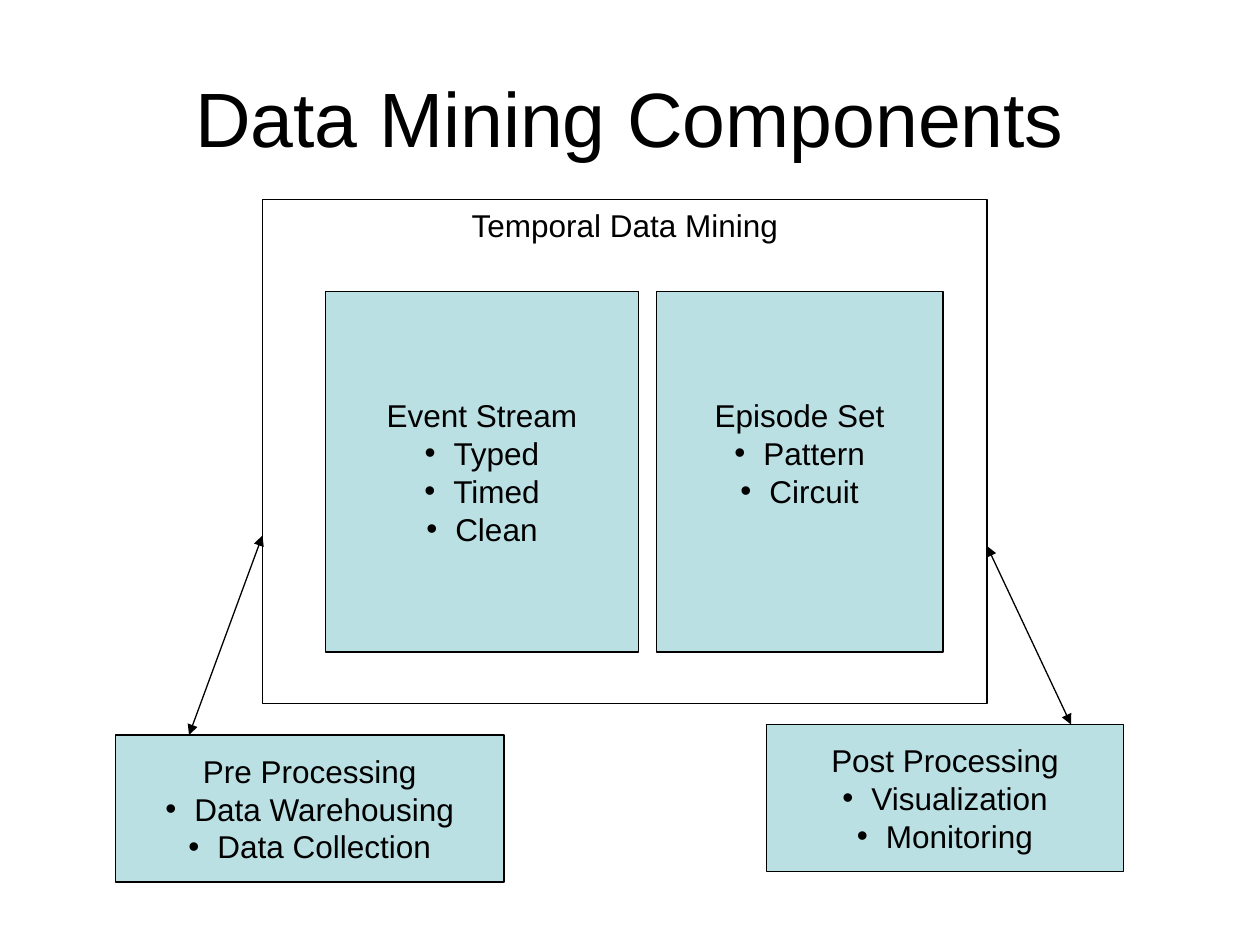
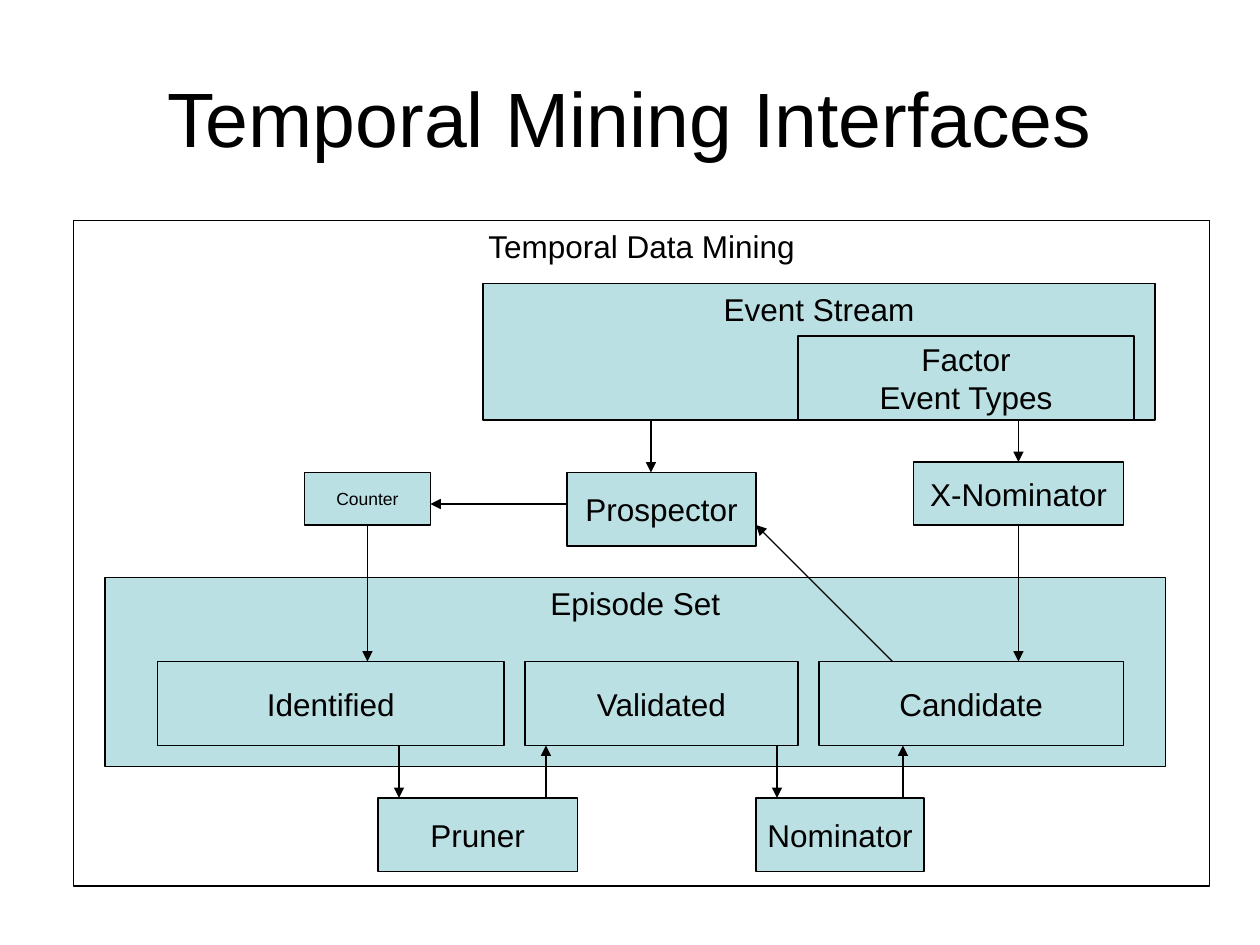
from lxml import etree
from pptx import Presentation
from pptx.dml.color import RGBColor
from pptx.enum.shapes import MSO_CONNECTOR, MSO_SHAPE
from pptx.enum.text import MSO_ANCHOR, PP_ALIGN
from pptx.oxml.ns import qn
from pptx.util import Inches, Pt

RECT, LINE = MSO_SHAPE.RECTANGLE, MSO_CONNECTOR.STRAIGHT
TOP, MID, CENTER = MSO_ANCHOR.TOP, MSO_ANCHOR.MIDDLE, PP_ALIGN.CENTER
COLS, ROWS = 120, 90
TITLE_ONLY = 5


def color(text):
    return RGBColor.from_string(text)


class Deck:
    font, ink, tint = "Arial", "000000", "BBE0E3"
    size, weight = 18, 0.75

    def __init__(self):
        self.prs = Presentation()
        self.prs.slide_width, self.prs.slide_height = Inches(10), Inches(7.5)

    def place(self, *spots):
        """Turn columns and rows, given in turn, into lengths."""
        steps = self.prs.slide_width / COLS, self.prs.slide_height / ROWS
        return [round(n * steps[i % 2]) for i, n in enumerate(spots)]

    def label(self, par, text, size):
        par.alignment = CENTER
        run = par.add_run()
        run.text = text
        run.font.name, run.font.size = self.font, Pt(size)
        run.font.color.rgb = color(self.ink)

    def bullet(self, par):
        props = par._p.get_or_add_pPr()
        hang = Inches(0.23)
        props.set("marL", str(hang))
        props.set("indent", str(-hang))
        etree.SubElement(props, qn("a:buFont"), typeface=self.font)
        etree.SubElement(props, qn("a:buChar"), char="•")

    def stroke(self, line):
        line.color.rgb = color(self.ink)
        line.width = Pt(self.weight)

    def page(self, title):
        self.slide = self.prs.slides.add_slide(self.prs.slide_layouts[TITLE_ONLY])
        head = self.slide.shapes.title
        head.left, head.top, head.width, head.height = self.place(6, 3.6, 108, 15)
        head.text_frame.vertical_anchor = MID
        self.label(head.text_frame.paragraphs[0], title, 44)

    def box(self, area, heads, items=(), fill=tint, anchor=MID, size=size, foot=0.05):
        shape = self.slide.shapes.add_shape(RECT, *self.place(*area))
        shape.shadow.inherit = False
        self.stroke(shape.line)
        if fill:
            shape.fill.solid()
            shape.fill.fore_color.rgb = color(fill)
        else:
            shape.fill.background()
        frame = shape.text_frame
        frame.word_wrap, frame.vertical_anchor = False, anchor
        frame.margin_bottom = Inches(foot)
        for i, text in enumerate([*heads, *items]):
            par = frame.add_paragraph() if i else frame.paragraphs[0]
            self.label(par, text, size)
            if i >= len(heads):
                self.bullet(par)

    def arrow(self, start, end, both=False):
        link = self.slide.shapes.add_connector(LINE, *self.place(*start, *end))
        self.stroke(link.line)
        props = link._element.spPr
        ends = ["a:headEnd", "a:tailEnd"] if both else ["a:tailEnd"]
        for tag in ends:
            etree.SubElement(props.find(qn("a:ln")), qn(tag), type="triangle")
        etree.SubElement(props, qn("a:effectLst"))


def parts(deck):
    deck.page("Data Mining Components")

    # Mining frame with its two stores
    deck.box((31, 27.8, 29.8, 34.3), ["Event Stream"], ["Typed", "Timed", "Clean"])
    deck.box((62.5, 27.8, 27.3, 34.3), ["Episode Set"], ["Pattern", "Circuit"], foot=0.35)
    deck.box((25, 19, 69, 48), ["Temporal Data Mining"], fill=None, anchor=TOP)

    # Steps before and after
    deck.box((11, 70, 37, 14), ["Pre Processing"], ["Data Warehousing", "Data Collection"])
    deck.box((73, 69, 34, 14), ["Post Processing"], ["Visualization", "Monitoring"])
    deck.arrow((18, 70), (25, 51), both=True)
    deck.arrow((94, 52), (102, 69), both=True)


def flow(deck):
    deck.page("Temporal Mining Interfaces")

    # Frames with a heading at the top
    deck.box((46, 27, 64, 13), ["Event Stream"], anchor=TOP)
    deck.box((10, 55, 101, 18), ["Episode Set"], anchor=TOP)
    deck.box((7, 21, 108.2, 63.4), ["Temporal Data Mining"], fill=None, anchor=TOP)

    # Workers above the episode set
    deck.box((76, 32, 32, 8), ["Factor", "Event Types"])
    deck.box((54, 45, 18, 7), ["Prospector"])
    deck.box((87, 44, 20, 6), ["X-Nominator"])
    deck.box((29, 45, 12, 5), ["Counter"], size=10)

    # Episode states, then the workers below them
    for left, wide, name in ((15, 33, "Identified"), (50, 26, "Validated"),
                             (78, 29, "Candidate")):
        deck.box((left, 63, wide, 8), [name])
    for left, wide, name in ((36, 19, "Pruner"), (72, 16, "Nominator")):
        deck.box((left, 76, wide, 7), [name])

    # Straight drops and rises: column, start row, end row
    for col, start, end in ((62, 40, 45), (97, 40, 44), (97, 50, 63), (35, 50, 63),
                            (38, 71, 76), (52, 76, 71), (74, 71, 76), (86, 76, 71)):
        deck.arrow((col, start), (col, end))
    deck.arrow((85, 63), (72, 50))
    deck.arrow((54, 48), (41, 48))


def main():
    deck = Deck()
    parts(deck)
    flow(deck)
    deck.prs.save("out.pptx")


if __name__ == "__main__":
    main()
